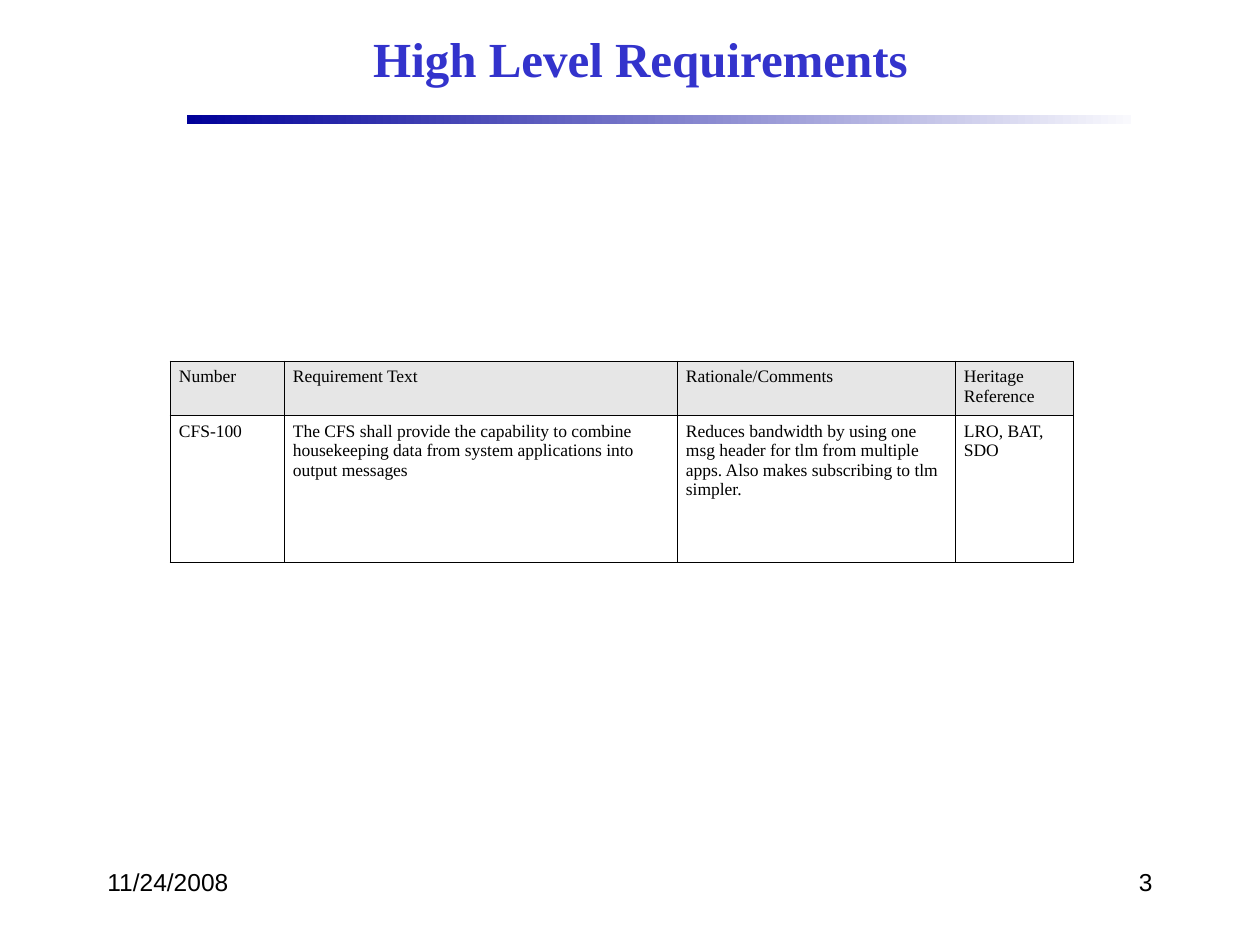
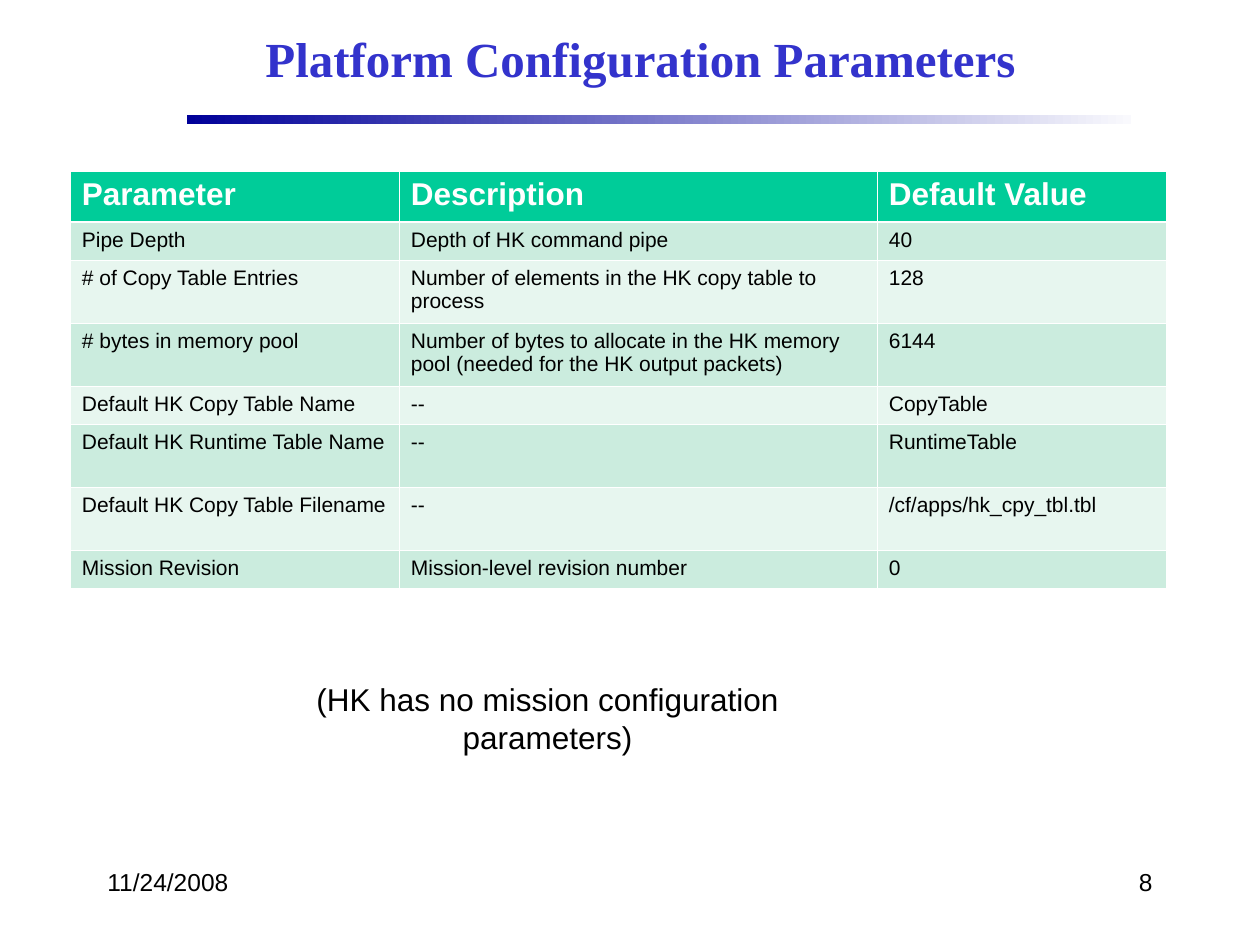
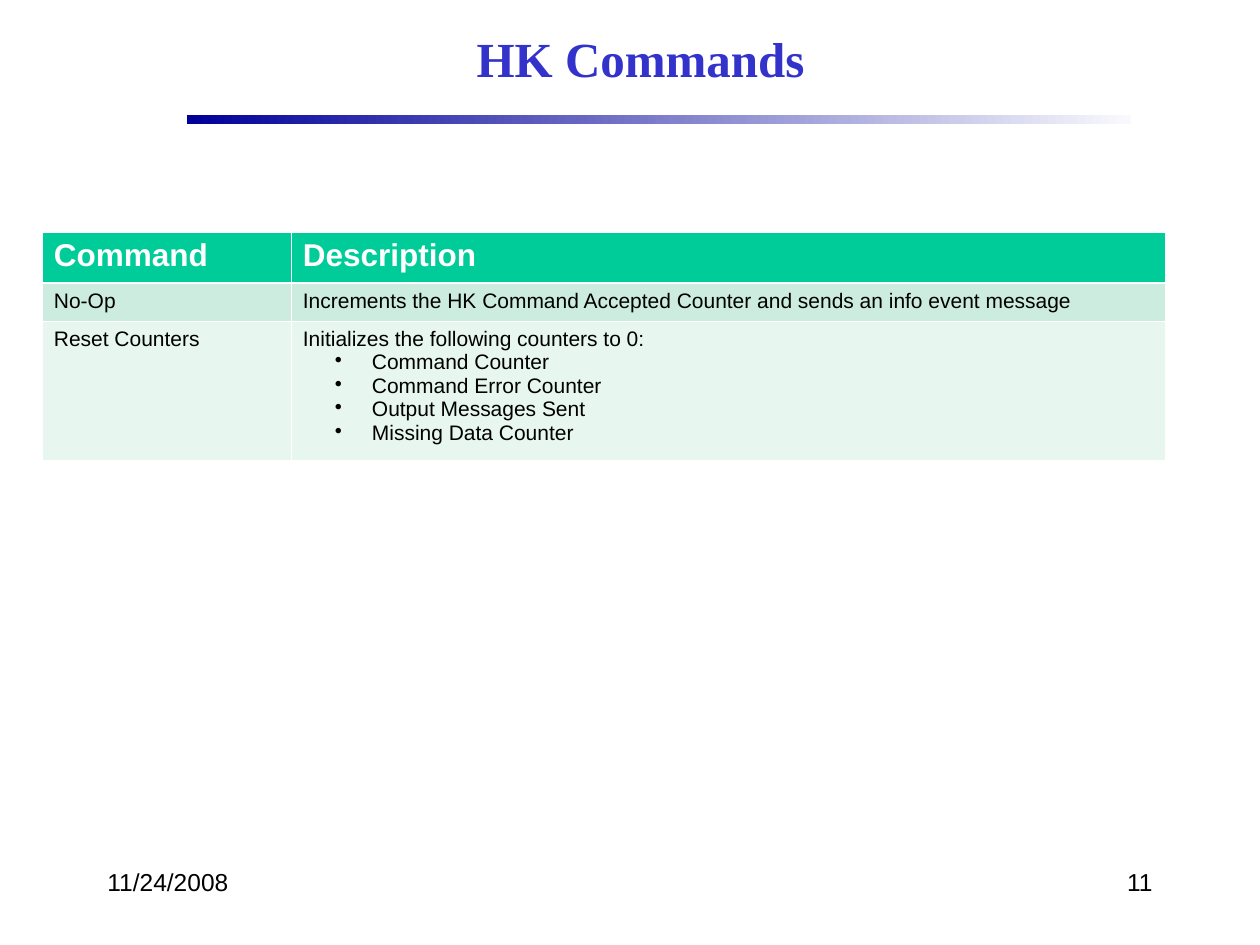
"""Build three housekeeping slides, each a titled table with shared band and footer."""
from pptx import Presentation
from pptx import util as u
from pptx.dml.color import RGBColor
from pptx.enum import shapes, text
from pptx.oxml import parse_xml
from pptx.oxml.ns import nsdecls

PX = 914400 / 126
SANS, SERIF = "Arial", "Times New Roman"
BLACK, WHITE, TITLE_BLUE = "000000", "FFFFFF", "3333CC"
BAND_COLORS = ("000099", "F9F9FD")
DATE = "11/24/2008"
BULLET = "• "
THIN, THICK = 0.45, 1.47
LEFT, CENTER, RIGHT = text.PP_ALIGN.LEFT, text.PP_ALIGN.CENTER, text.PP_ALIGN.RIGHT

PLAIN = dict(
    header=dict(size=10, font=SERIF), body=dict(size=10, font=SERIF),
    header_fill="E6E6E6", body_fills=(WHITE,), border=BLACK, rule=THIN, margin=9,
)
GREEN = dict(
    header=dict(size=18, bold=True, color=WHITE), body=dict(size=12),
    header_fill="00CC99", body_fills=("CBECDE", "E7F6EF"), border=WHITE, rule=THICK, margin=12,
)

SLIDES = [
    dict(
        title="High Level Requirements", number="3", style=PLAIN,
        corner=(170, 361), columns=(114, 393, 278, 118), heights=(51, 147),
        rows=[
            ("Number", "Requirement Text", "Rationale/Comments", "Heritage Reference"),
            ("CFS-100",
             "The CFS shall provide the capability to combine housekeeping data "
             "from system applications into output messages",
             "Reduces bandwidth by using one msg header for tlm from multiple apps. "
             "Also makes subscribing to tlm simpler.",
             "LRO, BAT, SDO"),
        ],
    ),
    dict(
        title="Platform Configuration Parameters", number="8", style=GREEN,
        corner=(70, 171), columns=(329, 478, 289),
        heights=(51, 38, 63, 63, 38, 63, 63, 38),
        rows=[
            ("Parameter", "Description", "Default Value"),
            ("Pipe Depth", "Depth of HK command pipe", "40"),
            ("# of Copy Table Entries", "Number of elements in the HK copy table to process", "128"),
            ("# bytes in memory pool",
             "Number of bytes to allocate in the HK memory pool (needed for the HK output packets)",
             "6144"),
            ("Default HK Copy Table Name", "--", "CopyTable"),
            ("Default HK Runtime Table Name", "--", "RuntimeTable"),
            ("Default HK Copy Table Filename", "--", "/cf/apps/hk_cpy_tbl.tbl"),
            ("Mission Revision", "Mission-level revision number", "0"),
        ],
        remark="(HK has no mission configuration parameters)",
    ),
    dict(
        title="HK Commands", number="11", style=GREEN,
        corner=(42, 232), columns=(249, 874), heights=(51, 38, 139),
        rows=[
            ("Command", "Description"),
            ("No-Op", "Increments the HK Command Accepted Counter and sends an info event message"),
            ("Reset Counters",
             "Initializes the following counters to 0:\n• Command Counter\n"
             "• Command Error Counter\n• Output Messages Sent\n• Missing Data Counter"),
        ],
    ),
]


def px(length):
    return u.Emu(round(length * PX))


def rgb(color):
    return RGBColor.from_string(color)


def write(frame, content, size=14, font=SANS, color=BLACK, bold=False, align=LEFT):
    for index, line in enumerate(content.split("\n")):
        paragraph = frame.add_paragraph() if index else frame.paragraphs[0]
        paragraph.alignment = align
        run = paragraph.add_run()
        run.text = line.removeprefix(BULLET)
        run.font.size = u.Pt(size)
        run.font.name = font
        run.font.bold = bold
        run.font.color.rgb = rgb(color)
        if line.startswith(BULLET):
            properties = paragraph._p.get_or_add_pPr()
            properties.set("marL", str(px(69)))
            properties.set("indent", str(px(-37)))
            properties.append(parse_xml(f'<a:buChar {nsdecls("a")} char="•"/>'))


def add_text(slide, box, content, wrap=True, anchor=text.MSO_ANCHOR.TOP, **style):
    frame = slide.shapes.add_textbox(*map(px, box)).text_frame
    frame.word_wrap = wrap
    frame.vertical_anchor = anchor
    write(frame, content, **style)


def add_band(slide):
    band = slide.shapes.add_shape(shapes.MSO_SHAPE.RECTANGLE, *map(px, (187, 115, 944, 9)))
    band.shadow.inherit = False
    band.line.fill.background()
    band.fill.gradient()
    band.fill.gradient_angle = 0
    for stop, color in zip(band.fill.gradient_stops, BAND_COLORS):
        stop.color.rgb = rgb(color)


def set_borders(cell, color, top, bottom):
    properties = cell._tc.get_or_add_tcPr()
    for side, width in (("L", THIN), ("R", THIN), ("T", top), ("B", bottom)):
        properties.append(parse_xml(
            f'<a:ln{side} {nsdecls("a")} w="{u.Pt(width)}"><a:solidFill>'
            f'<a:srgbClr val="{color}"/></a:solidFill></a:ln{side}>'))


def add_table(slide, rows, corner, columns, heights, style):
    box = (*corner, sum(columns), sum(heights))
    table = slide.shapes.add_table(len(rows), len(columns), *map(px, box)).table
    table.first_row = table.horz_banding = False
    for column, width in zip(table.columns, columns):
        column.width = px(width)
    for index, (row, height, contents) in enumerate(zip(table.rows, heights, rows)):
        row.height = px(height)
        fills = style["body_fills"]
        fill = fills[(index - 1) % len(fills)] if index else style["header_fill"]
        for cell, content in zip(row.cells, contents):
            cell.margin_left = cell.margin_right = px(style["margin"])
            set_borders(cell, style["border"],
                        top=style["rule"] if index == 1 else THIN,
                        bottom=THIN if index else style["rule"])
            cell.fill.solid()
            cell.fill.fore_color.rgb = rgb(fill)
            write(cell.text_frame, content, **style["body" if index else "header"])


def main():
    presentation = Presentation()
    presentation.slide_width, presentation.slide_height = px(1260), px(945)
    for content in SLIDES:
        slide = presentation.slides.add_slide(presentation.slide_layouts[6])
        add_band(slide)
        add_text(slide, (189, 10, 903, 95), content["title"], size=28, font=SERIF,
                 color=TITLE_BLUE, bold=True, align=CENTER, anchor=text.MSO_ANCHOR.MIDDLE)
        add_text(slide, (903, 861, 262, 63), content["number"], align=RIGHT)
        add_text(slide, (95, 861, 262, 63), DATE)
        if "remark" in content:
            add_text(slide, (215, 674, 665, 50), content["remark"], wrap=False,
                     size=18, align=CENTER)
        add_table(slide, *(content[key] for key in ("rows", "corner", "columns", "heights", "style")))
    presentation.save("out.pptx")


if __name__ == "__main__":
    main()
